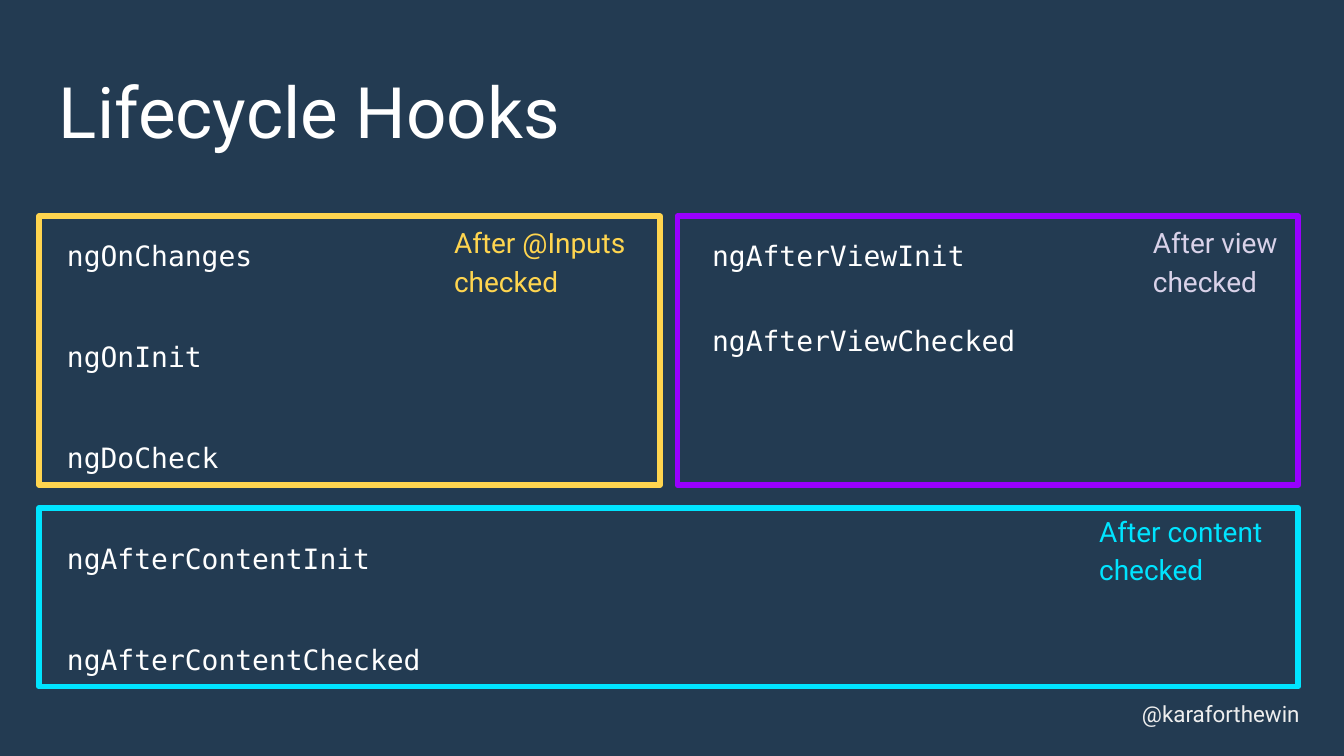
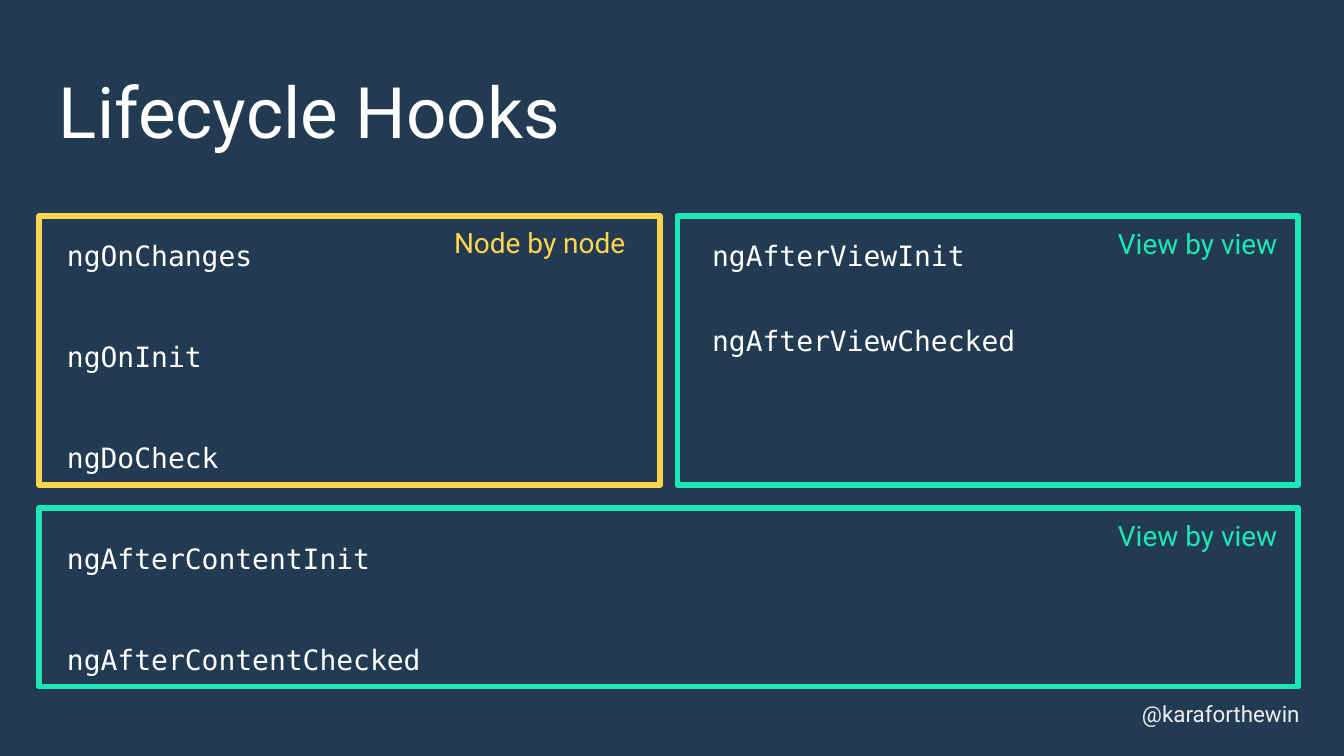
import pptx
import pptx.util
import pptx.dml.color
import pptx.enum.shapes
import pptx.enum.text
import pptx.oxml.ns
import lxml.etree

Inches, Pt = pptx.util.Inches, pptx.util.Pt
RGBColor = pptx.dml.color.RGBColor
ALIGN = pptx.enum.text.PP_ALIGN

NAVY = RGBColor(0x23, 0x3B, 0x52)
WHITE = RGBColor(0xFF, 0xFF, 0xFF)
PALE_GREY = RGBColor(0xEE, 0xEE, 0xEE)
YELLOW = RGBColor(0xFF, 0xD5, 0x4F)
PURPLE = RGBColor(0x99, 0x00, 0xFF)
LILAC = RGBColor(0xD9, 0xD2, 0xE9)
CYAN = RGBColor(0x00, 0xE4, 0xFF)
GREEN = RGBColor(0x1C, 0xE8, 0xB5)
SANS, MONO = "Roboto", "DejaVu Sans Mono"

TITLE = "Lifecycle Hooks"
HANDLE = "@karaforthewin"
NODE_AND_CONTENT_HOOKS = ["ngOnChanges", "ngOnInit", "ngDoCheck",
                          "ngAfterContentInit", "ngAfterContentChecked"]
VIEW_HOOKS = ["ngAfterViewInit", "ngAfterViewChecked"]

SLIDES = [
    {"inputs": (YELLOW, "After @Inputs checked", YELLOW, 1.58, 0.7, 0.05, 0.07),
     "view": (PURPLE, "After view checked", LILAC, 1.18, 0.7, 0, 0.07),
     "content": (CYAN, "After content checked", CYAN, 1.58, 0.7, 0, 0.09)},
    {"inputs": (YELLOW, "Node by node", YELLOW, 1.58, 0.7, 0.05, 0.07),
     "view": (GREEN, "View by view", GREEN, 1.44, 0.5, 0, 0.06),
     "content": (GREEN, "View by view", GREEN, 1.44, 0.5, 0, 0.06)},
]

WIDTH = 10
HEIGHT = WIDTH * 9 / 16
LEFT, TOP, FULL = 0.29, 1.61, 9.37
COLUMN_GAP, ROW_GAP = 0.13, 0.17
UPPER, LOWER = 2, 1.33
COLUMN = (FULL - COLUMN_GAP) / 2
VIEW_LEFT = LEFT + COLUMN + COLUMN_GAP
PANELS = {
    "inputs": (LEFT, TOP, COLUMN, UPPER),
    "view": (VIEW_LEFT, TOP, COLUMN, UPPER),
    "content": (LEFT, TOP + UPPER + ROW_GAP, FULL, LOWER),
}
CODE_TOP = TOP - 0.06


def add_text(slide, box, lines, size, color, font=SANS, spacing=1.0,
             gap=0, align=ALIGN.LEFT):
    frame = slide.shapes.add_textbox(*map(Inches, box)).text_frame
    frame.word_wrap = True
    frame.margin_left = frame.margin_right = Inches(0.1)
    frame.margin_top = frame.margin_bottom = Inches(0.1)
    frame.text = "\n".join(lines)
    for index, paragraph in enumerate(frame.paragraphs):
        paragraph.alignment = align
        paragraph.line_spacing = spacing
        paragraph.space_before = Pt(gap if index else 0)
        paragraph.font.name = font
        paragraph.font.size = Pt(size)
        paragraph.font.color.rgb = color


def add_panel(slide, box, color):
    panel = slide.shapes.add_shape(
        pptx.enum.shapes.MSO_SHAPE.RECTANGLE, *map(Inches, box))
    panel.shadow.inherit = False
    panel.fill.background()
    panel.line.color.rgb = color
    panel.line.width = Pt(3)
    outline = panel.element.spPr.find(pptx.oxml.ns.qn("a:ln"))
    lxml.etree.SubElement(outline, pptx.oxml.ns.qn("a:round"))


def add_hooks_slide(prs, panels):
    slide = prs.slides.add_slide(prs.slide_layouts[6])
    slide.background.fill.solid()
    slide.background.fill.fore_color.rgb = NAVY
    add_text(slide, (7.63, 5.11, 2.14, 0.31), [HANDLE], 12, PALE_GREY,
             align=ALIGN.RIGHT)
    add_text(slide, (0.34, 0.4, 9.32, 0.63), [TITLE], 38, WHITE)
    for name, (frame, label, color, width, height, inset, rise) in panels.items():
        left, top, span, _ = PANELS[name]
        add_panel(slide, PANELS[name], frame)
        add_text(slide, (left + span - inset - width, top - rise, width, height),
                 [label], 15, color, spacing=1.15)
    add_text(slide, (LEFT + 0.11, CODE_TOP, 4.51, 3.5), NODE_AND_CONTENT_HOOKS,
             15, WHITE, MONO, 1.5, gap=27.1)
    add_text(slide, (VIEW_LEFT + 0.16, CODE_TOP, 3.28, 1.81), VIEW_HOOKS,
             15, WHITE, MONO, 1.5, gap=18.3)


def main():
    prs = pptx.Presentation()
    prs.slide_width, prs.slide_height = Inches(WIDTH), Inches(HEIGHT)
    for panels in SLIDES:
        add_hooks_slide(prs, panels)
    prs.save("out.pptx")


if __name__ == "__main__":
    main()
